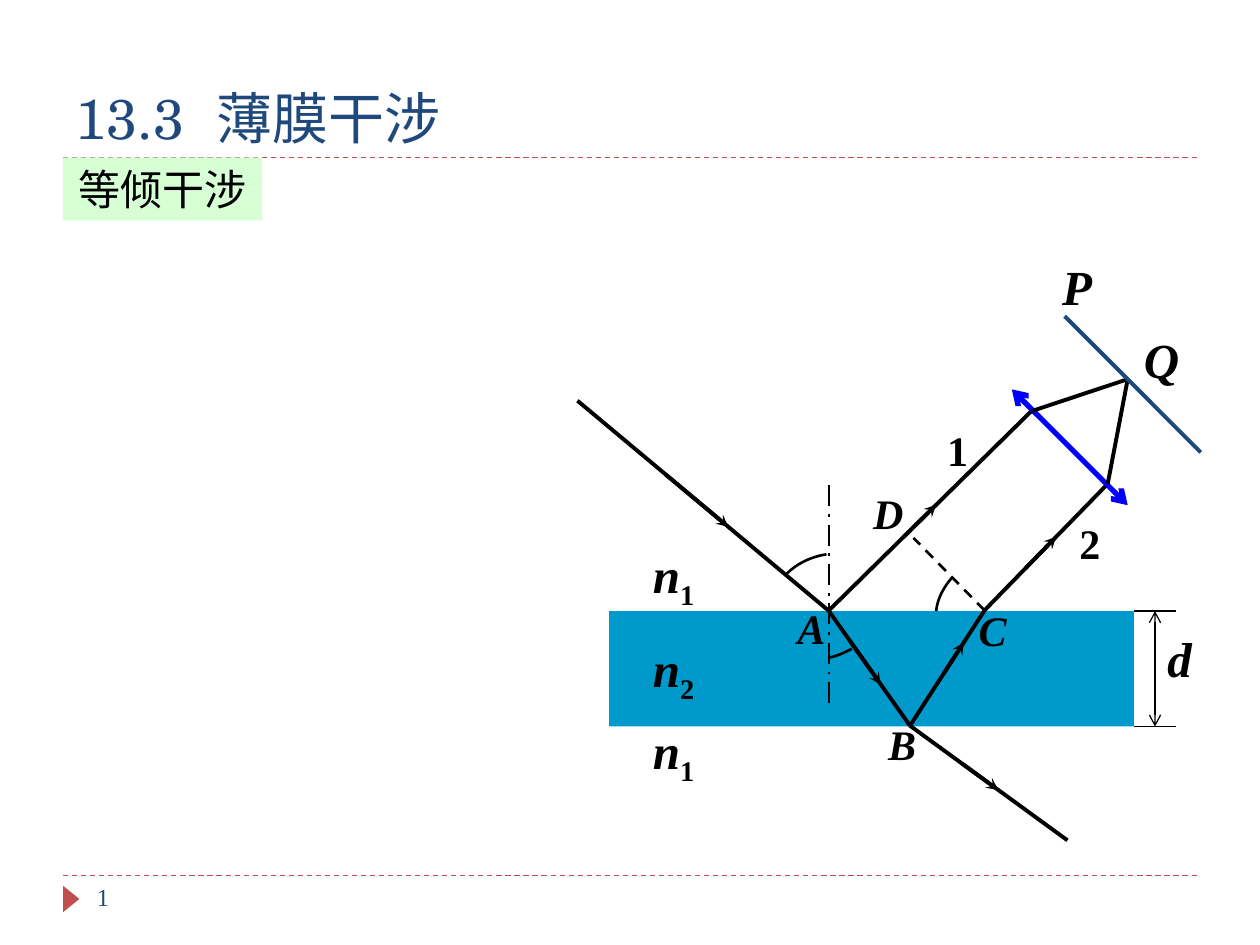
from dataclasses import dataclass

from lxml import etree
from pptx import Presentation
from pptx.dml.color import RGBColor
from pptx.enum import dml, shapes, text
from pptx.oxml.ns import qn
from pptx.util import Pt


@dataclass(frozen=True)
class Theme:
    navy: str = "1F497D"
    red: str = "C0504D"
    black: str = "000000"
    film: str = "0099CC"
    lens: str = "0000FF"
    tag: str = "CCFFCC"
    title_font: str = "TeX Gyre Schola"
    tag_font: str = "Arial"
    font: str = "Times New Roman"
    title_size: float = 32
    symbol_size: float = 28
    label_size: float = 24
    number_size: float = 14
    thin: float = 0.75
    medium: float = 1.5
    thick: float = 2.25
    heavy: float = 3


T = Theme()


def add_run(p, content, size, font=T.font, color=T.black, bold=False,
            italic=False, baseline=None, spacing=None):
    r = p.add_run()
    r.text = content
    f = r.font
    f.size, f.name, f.bold, f.italic = Pt(size), font, bold, italic
    f.color.rgb = RGBColor.from_string(color)
    for key, value in (("baseline", baseline), ("spc", spacing)):
        if value is not None:
            r._r.get_or_add_rPr().set(key, str(value))
    return r


def add_label(s, content, x, y, w, h, sub=None, **fmt):
    """One-line label, with an optional upright subscript."""
    sp = s.shapes.add_textbox(Pt(x), Pt(y), Pt(w), Pt(h))
    tf = sp.text_frame
    tf.word_wrap = False
    p = tf.paragraphs[0]
    add_run(p, content, **fmt)
    if sub:
        add_run(p, sub, **{**fmt, "italic": False, "baseline": -25000})
    return sp


def add_line(s, a, b, color=T.black, width=T.thick, dash=None, head=None, tail=None):
    c = s.shapes.add_connector(shapes.MSO_CONNECTOR.STRAIGHT, *map(Pt, (*a, *b)))
    c.line.color.rgb = RGBColor.from_string(color)
    c.line.width = Pt(width)
    if dash:
        c.line.dash_style = dash
    for tag, kind in (("a:headEnd", head), ("a:tailEnd", tail)):
        if kind:
            etree.SubElement(c.line._ln, qn(tag)).set("type", kind)
    etree.SubElement(c._element.spPr, qn("a:effectLst"))
    return c


def add_block(s, kind, x, y, w, h, color):
    sp = s.shapes.add_shape(kind, *map(Pt, (x, y, w, h)))
    sp.shadow.inherit = False
    sp.fill.solid()
    sp.fill.fore_color.rgb = RGBColor.from_string(color)
    sp.line.fill.background()
    return sp


def add_ray(s, a, b, start, end):
    """Light ray with an arrowhead partway along it."""
    def along(t):
        return tuple(m + (n - m) * t for m, n in zip(a, b))
    add_line(s, a, b)
    add_line(s, along(start), along(end), tail="stealth")


def add_arc(s, points, steps=16):
    """Angle mark that follows a cubic curve through four control points."""
    def curve(t):
        weights = ((1 - t) ** 3, 3 * t * (1 - t) ** 2, 3 * t * t * (1 - t), t ** 3)
        return tuple(Pt(sum(k * pt[i] for k, pt in zip(weights, points)))
                     for i in (0, 1))
    first, *rest = [curve(i / steps) for i in range(steps + 1)]
    fb = s.shapes.build_freeform(*first)
    fb.add_line_segments(rest, close=False)
    sp = fb.convert_to_shape()
    sp.shadow.inherit = False
    sp.fill.background()
    sp.line.color.rgb = RGBColor.from_string(T.black)
    sp.line.width = Pt(T.medium)


def title_region(s, x, y, w, h):
    title = s.shapes.title
    title.left, title.top, title.width, title.height = map(Pt, (x, y, w, h))
    tf = title.text_frame
    tf.vertical_anchor = text.MSO_ANCHOR.BOTTOM
    tf.auto_size = text.MSO_AUTO_SIZE.NONE
    p = tf.paragraphs[0]
    p.alignment = text.PP_ALIGN.LEFT
    for content, spacing in (("13.3", None), (" ", 900), ("薄膜干涉", None)):
        add_run(p, content, T.title_size, T.title_font, T.navy, spacing=spacing)
    add_line(s, (x, y + h), (x + w, y + h), T.red, T.thin, dml.MSO_LINE.DASH)


def footer_region(s, x, y, w):
    add_line(s, (x, y), (x + w, y), T.red, T.thin, dml.MSO_LINE.DASH)
    marker = add_block(s, shapes.MSO_SHAPE.ISOSCELES_TRIANGLE,
                       x - 2.88, y + 8.64, 15.12, 9.36, T.red)
    marker.rotation = 90
    sp = add_label(s, "4", x + 12.24, y, 156, 28.8, size=T.number_size, color=T.navy)
    # Turn the run into a slide number field
    r = sp.text_frame.paragraphs[0].runs[0]._r
    field = etree.Element(qn("a:fld"), type="slidenum",
                          id="{B6F15528-21DE-4FAA-801E-634DDDAF4B2B}")
    r.addprevious(field)
    field.extend(list(r))
    r.getparent().remove(r)


def film_region(s, x, y, w, h):
    add_block(s, shapes.MSO_SHAPE.RECTANGLE, x, y, w, h, T.film)
    fmt = dict(size=T.symbol_size, bold=True, italic=True)
    # Refractive indices above, inside and below the film
    for sub, dy in (("1", -41.8), ("2", 12.2), ("1", 59)):
        add_label(s, "n", x + 18, y + dy, 39.6, 41, sub=sub, **fmt)
    # Thickness dimension
    right, mid = x + w, x + w + 12
    for edge in (y, y + h):
        add_line(s, (right, edge), (right + 24, edge), width=T.thin)
    add_line(s, (mid, y), (mid, y + h), width=T.thin, head="arrow", tail="arrow")
    add_label(s, "d", mid, y + 6.5, 28.8, 41, **fmt)


def ray_region(s, x, y):
    def at(dx, dy):
        return x + dx, y + dy

    source, a, b, c = at(0, 89), at(143.5, 209), at(190, 274.7), at(232.6, 208.8)
    lens_1, lens_2, focus = at(259.3, 95), at(303, 136.5), at(314.4, 76.7)

    # Normal, incident, reflected and refracted rays
    add_line(s, at(143.8, 137.2), at(143.8, 263.2), width=T.medium,
             dash=dml.MSO_LINE.LONG_DASH_DOT)
    for start, end, f0, f1 in ((source, a, 0.35, 0.6), (a, lens_1, 0.37, 0.53),
                               (c, lens_2, 0.33, 0.58), (a, b, 0.27, 0.64),
                               (b, c, 0.44, 0.72), (b, at(280, 340.2), 0.33, 0.56)):
        add_ray(s, start, end, f0, f1)
    add_line(s, c, at(192, 167.4), width=T.medium, dash=dml.MSO_LINE.DASH)

    # Lens, focused rays and screen
    add_line(s, at(248.2, 82.5), at(314.4, 148.7), T.lens, T.heavy,
             head="arrow", tail="arrow")
    add_line(s, lens_1, focus)
    add_line(s, focus, lens_2)
    add_line(s, at(278.4, 40.7), at(356.2, 118.5), T.navy)

    # Angle marks at C, below A and above A
    for points in (((205, 209.2), (205.7, 202), (209.3, 195.5), (214.3, 189.8)),
                   ((156.7, 230.8), (152.4, 233), (148.1, 235.1), (143.8, 235.8)),
                   ((118.6, 189), (124.3, 182.6), (133, 178.2), (142.3, 176.8))):
        add_arc(s, [at(*pt) for pt in points])

    # Point and ray labels
    small, large = (T.label_size, 36), (T.symbol_size, 41)
    for name, dx, dy, w, (size, h) in (
            ("1", 204.2, 99, 26.6, small), ("2", 279.8, 152.3, 26.6, small),
            ("A", 118.6, 200.6, 30.2, small), ("B", 170.4, 266.8, 30.2, small),
            ("C", 222.2, 202, 30.2, small), ("D", 161.8, 135, 31.7, small),
            ("Q", 316.6, 45, 34.6, large), ("P", 269.8, 3.3, 31.7, large)):
        add_label(s, name, *at(dx, dy), w, h, size=size, bold=True,
                  italic=name.isalpha())


def topic_tag(s, x, y, w, h):
    sp = add_block(s, shapes.MSO_SHAPE.RECTANGLE, x, y, w, h, T.tag)
    color = sp.fill._xPr.find(qn("a:solidFill"))[0]
    etree.SubElement(color, qn("a:alpha")).set("val", "80000")
    tf = sp.text_frame
    tf.word_wrap = False
    tf.vertical_anchor = text.MSO_ANCHOR.MIDDLE
    p = tf.paragraphs[0]
    p.alignment = text.PP_ALIGN.CENTER
    add_run(p, "等倾干涉", T.label_size, T.tag_font)


def main():
    prs = Presentation()
    prs.slide_width, prs.slide_height = Pt(720), Pt(540)
    s = prs.slides.add_slide(prs.slide_layouts[5])
    title_region(s, 36, 18, 648, 72)
    footer_region(s, 36, 500.4, 648)
    film_region(s, 348, 349.2, 300, 66)
    ray_region(s, 330, 140)
    topic_tag(s, 36, 90, 114, 36)
    prs.save("out.pptx")


if __name__ == "__main__":
    main()
